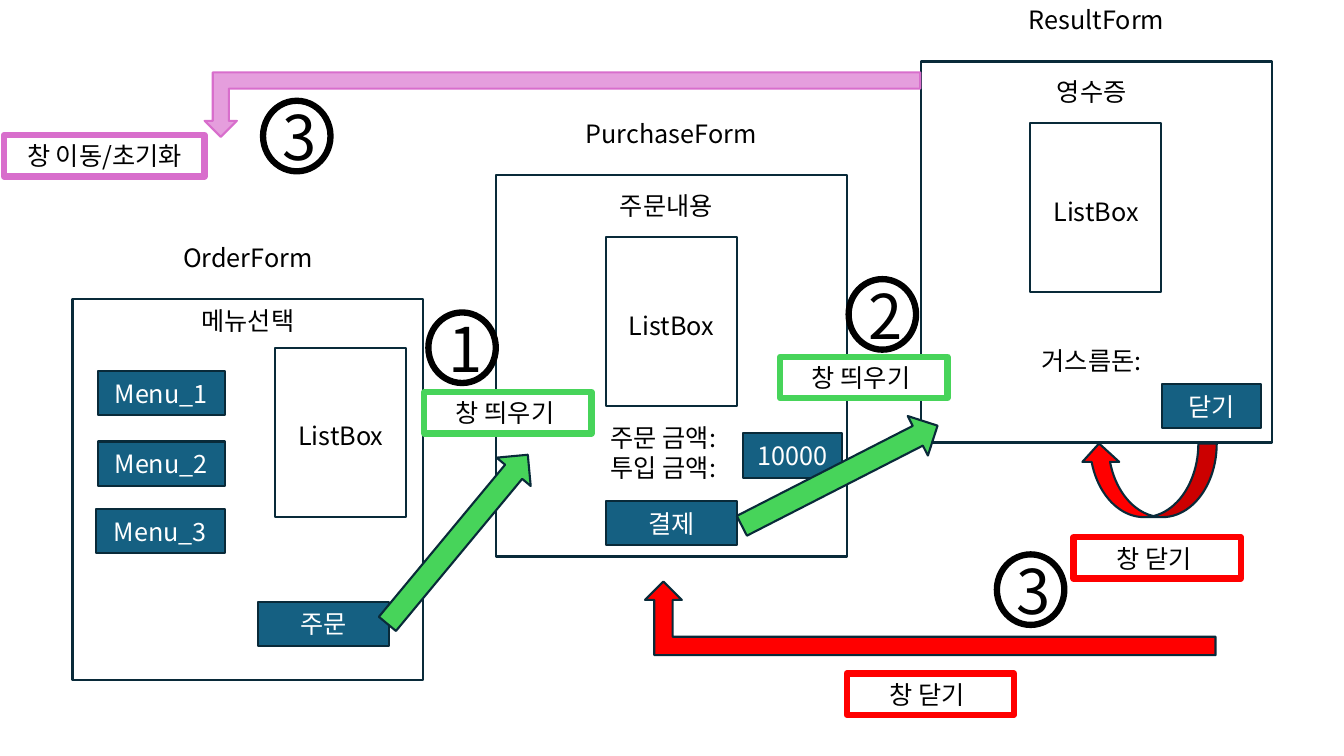
from lxml import etree
from pptx import Presentation
from pptx.dml.color import RGBColor
from pptx.enum.shapes import MSO_SHAPE
from pptx.enum.text import MSO_ANCHOR, PP_ALIGN
from pptx.oxml.ns import qn
from pptx.util import Pt

RECTANGLE = MSO_SHAPE.RECTANGLE
CIRCLE = MSO_SHAPE.FLOWCHART_CONNECTOR
RIGHT_ARROW = MSO_SHAPE.RIGHT_ARROW
BENT_ARROW = MSO_SHAPE.BENT_UP_ARROW
CURVED_ARROW = MSO_SHAPE.CURVED_LEFT_ARROW
MIDDLE = MSO_ANCHOR.MIDDLE
CENTER = PP_ALIGN.CENTER
LEFT = PP_ALIGN.LEFT

FONT = "Noto Sans CJK KR"
BLACK = RGBColor(0x00, 0x00, 0x00)
WHITE = RGBColor(0xFF, 0xFF, 0xFF)
NAVY = RGBColor(0x09, 0x2A, 0x39)
TEAL = RGBColor(0x15, 0x60, 0x82)
GREEN = RGBColor(0x47, 0xD4, 0x5A)
RED = RGBColor(0xFF, 0x00, 0x00)
PINK = RGBColor(0xE5, 0x9E, 0xDD)
MAGENTA = RGBColor(0xD8, 0x6E, 0xCC)

BUTTON_HEIGHT = 31.7
LABEL_WIDTH = 100.8


def write(box, text, color=BLACK, size=18, align=CENTER):
    frame = box.text_frame
    frame.word_wrap = True
    frame.text = text
    for para in frame.paragraphs:
        para.alignment = align
        for span in para.runs:
            span.font.size = Pt(size)
            span.font.name = FONT
            span.font.color.rgb = color
            east_asian = etree.SubElement(span.font._element, qn("a:ea"))
            east_asian.set("typeface", FONT)


def add_shape(page, kind, left, top, width, height, fill=None, line=NAVY, weight=1.5):
    shape = page.shapes.add_shape(kind, Pt(left), Pt(top), Pt(width), Pt(height))
    shape.shadow.inherit = False
    if fill is None:
        shape.fill.background()
    else:
        shape.fill.solid()
        shape.fill.fore_color.rgb = fill
    shape.line.color.rgb = line
    shape.line.width = Pt(weight)
    shape.text_frame.vertical_anchor = MIDDLE
    return shape


def add_label(page, text, left, top, width=LABEL_WIDTH, height=28.8, align=CENTER):
    box = page.shapes.add_textbox(Pt(left), Pt(top), Pt(width), Pt(height))
    write(box, text, align=align)


def add_form(page, name, heading, left, top, heading_offset, list_offset):
    """Draw a window with its name above, and a heading and a list box inside."""
    add_shape(page, RECTANGLE, left, top, 250.6, 272.2)
    add_label(page, name, left + 33.4, top - 44.6, 183.6)
    add_label(page, heading, left + heading_offset[0], top + heading_offset[1])
    list_left, list_top = left + list_offset[0], top + list_offset[1]
    add_shape(page, RECTANGLE, list_left, list_top, 93.6, 121)
    add_label(page, "ListBox", list_left - 3.4, list_top + 48.6)


def add_button(page, text, left, top, width):
    button = add_shape(page, RECTANGLE, left, top, width, BUTTON_HEIGHT, TEAL)
    write(button, text, WHITE)


def add_action(page, text, left, top, line, fill=None, width=119.5):
    action = add_shape(page, RECTANGLE, left, top, width, 29.5, fill, line, 4.5)
    write(action, text)


def add_step(page, number, left, top):
    circle = add_shape(page, CIRCLE, left, top, 48.2, 50.4, line=BLACK, weight=4.5)
    write(circle, number, size=44)


def flip(shape, *directions):
    transform = shape._element.spPr.find(qn("a:xfrm"))
    for direction in directions:
        transform.set(direction, "1")


def add_arrows(page):
    for left, top, angle in ((248.4, 369.4, 309.7), (521.3, 324, 332.9)):
        arrow = add_shape(page, RIGHT_ARROW, left, top, 157, BUTTON_HEIGHT, GREEN)
        arrow.rotation = angle
    close_arrow = add_shape(page, CURVED_ARROW, 794.2, 294.5, 52.6, 97.2, RED)
    close_arrow.rotation = 90
    back_arrow = add_shape(page, BENT_ARROW, 460.8, 415.4, 407.5, 52.6, RED)
    flip(back_arrow, "flipH")
    reset_arrow = add_shape(page, BENT_ARROW, 146.2, 51.8, 511.2, 46.1, PINK, MAGENTA)
    flip(reset_arrow, "flipH", "flipV")


def main():
    deck = Presentation()
    deck.slide_width, deck.slide_height = Pt(960), Pt(540)
    page = deck.slides.add_slide(deck.slide_layouts[6])

    add_form(page, "OrderForm", "메뉴선택", 51.8, 213.8, (74.9, 0.8), (144.7, 34.6))
    add_form(page, "PurchaseForm", "주문내용", 354.2, 125.3, (71.3, 7.2), (78.5, 43.9))
    add_form(page, "ResultForm", "영수증", 658.1, 43.9, (71.3, 7.2), (77.8, 43.9))

    for text, left, top, width in (
        ("Menu_1", 69.8, 265, 90.7),
        ("Menu_2", 69.8, 315.4, 90.7),
        ("Menu_3", 68.4, 363.6, 92.2),
        ("주문", 184.3, 429.8, 93.6),
        ("결제", 432.7, 357.8, 93.6),
        ("10000", 530.6, 309.6, 70.6),
        ("닫기", 830.2, 274.3, 70.6),
    ):
        add_button(page, text, left, top, width)

    add_label(page, "주문 금액:\n투입 금액:", 429.1, 298.1, height=51.1, align=LEFT)
    add_label(page, "거스름돈:", 729.4, 243.4)

    add_arrows(page)

    add_action(page, "창 띄우기 ", 303.1, 280.1, GREEN, WHITE)
    add_action(page, "창 띄우기 ", 557.3, 254.9, GREEN, WHITE)
    add_action(page, "창 닫기 ", 766.8, 383.8, RED)
    add_action(page, "창 닫기 ", 604.8, 481, RED)
    add_action(page, "창 이동/초기화", 2.9, 96.5, MAGENTA, width=143.3)

    for number, left, top in (
        ("1", 306, 223.2),
        ("2", 606.2, 199.4),
        ("3", 712.1, 396),
        ("3", 187.9, 72),
    ):
        add_step(page, number, left, top)

    deck.save("out.pptx")


if __name__ == "__main__":
    main()
